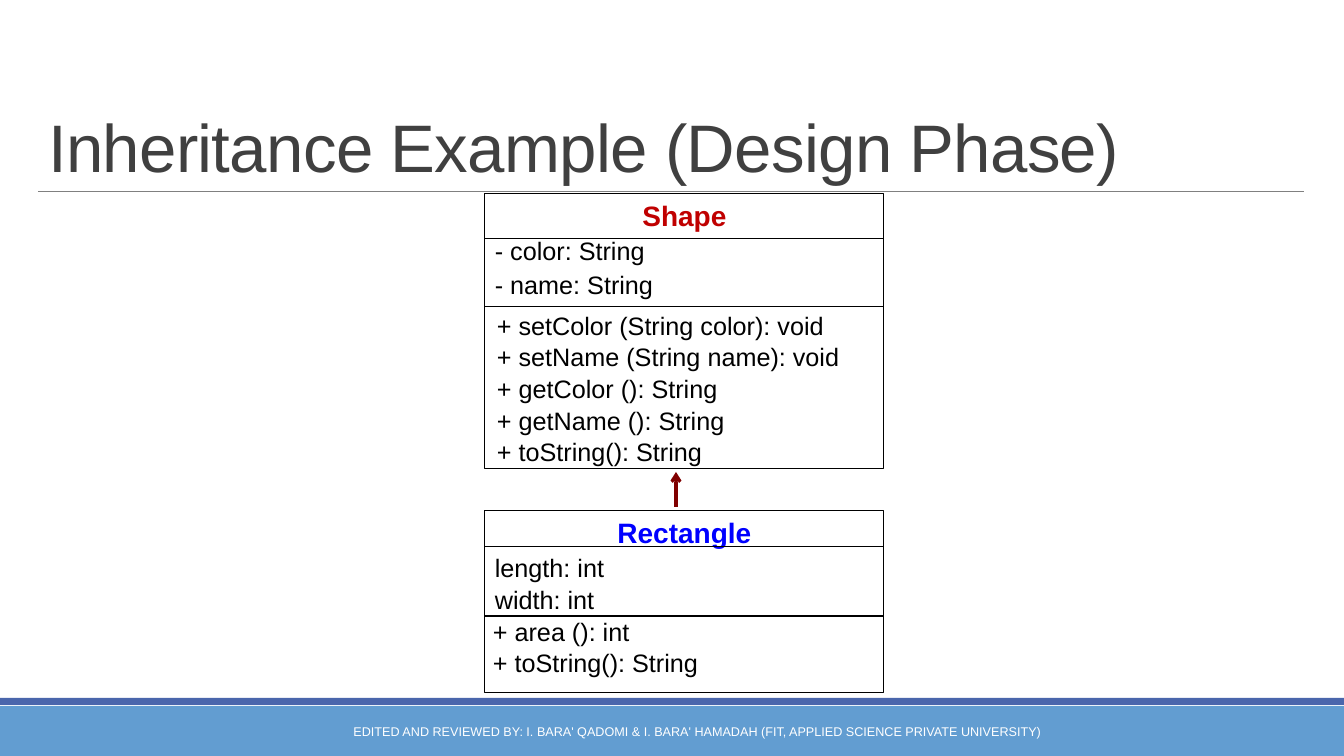
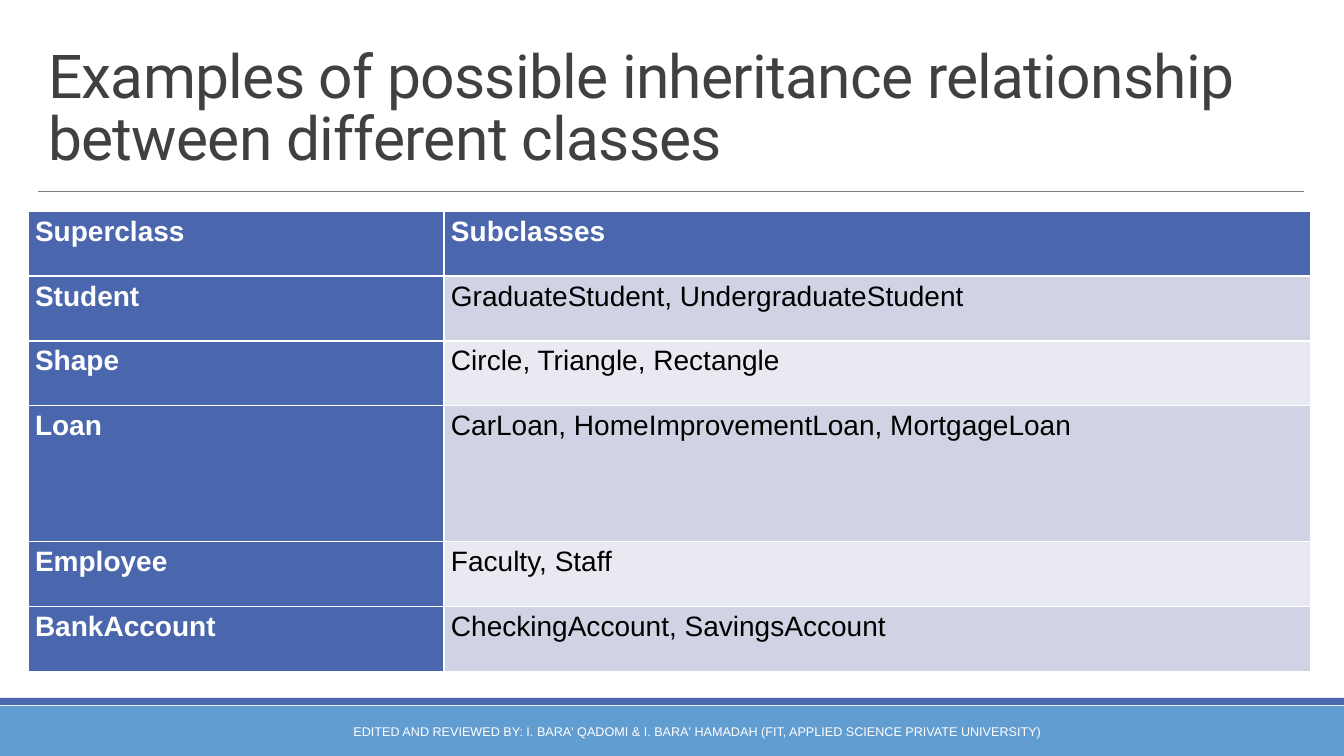
from lxml.etree import SubElement
from pptx import Presentation
from pptx.dml.color import RGBColor
from pptx.enum.shapes import MSO_CONNECTOR as CONNECTOR, MSO_SHAPE as SHAPE
from pptx.enum.text import MSO_ANCHOR as ANCHOR, MSO_AUTO_SIZE as AUTO_SIZE, PP_ALIGN as ALIGN
from pptx.oxml.ns import qn
from pptx.util import Pt

COLORS = {
    "white": "FFFFFF", "black": "000000", "title": "404040", "rule": "808080",
    "band": "629DD1", "accent": "4A66AC", "arrow": "800000",
    "superclass": "C00000", "subclass": "0000FF",
    "row_dark": "D0D3E3", "row_light": "E9EAF1",
}
SLIDE_W, SLIDE_H = 1344, 756
EMU_PER_PX = 914400 / 100.8

FOOTER = ("EDITED AND REVIEWED BY: I. BARA' QADOMI & I. BARA' HAMADAH "
          "(FIT, APPLIED SCIENCE PRIVATE UNIVERSITY)")

DESIGN_TITLE = "Inheritance Example (Design Phase)"
CLASSES = [
    {
        "name": "Shape", "color": "superclass", "box": (485, 194, 399, 275),
        "dividers": (239, 307), "attribute_gap": 3,
        "attributes": ["- color: String", "- name: String"],
        "methods_at": (487, 305),
        "methods": ["+ setColor (String color): void", "+ setName (String name): void",
                    "+ getColor (): String", "+ getName (): String", "+ toString(): String"],
    },
    {
        "name": "Rectangle", "color": "subclass", "box": (485, 511, 399, 182),
        "dividers": (547, 616), "attribute_gap": 1,
        "attributes": ["length: int", "width: int"],
        "methods_at": (483, 611),
        "methods": ["+ area (): int", "+ toString(): String"],
    },
]
INHERITS = (676, 507, 676, 472)

EXAMPLES_TITLE = "Examples of possible inheritance relationship between different classes"
EXAMPLES = [
    ("Superclass", "Subclasses"),
    ("Student", "GraduateStudent, UndergraduateStudent"),
    ("Shape", "Circle, Triangle, Rectangle"),
    ("Loan", "CarLoan, HomeImprovementLoan, MortgageLoan"),
    ("Employee", "Faculty, Staff"),
    ("BankAccount", "CheckingAccount, SavingsAccount"),
]
TABLE_LEFT, TABLE_TOP = 28, 211
COLUMN_WIDTHS = (416, 867)
ROW_HEIGHT, LOAN_HEIGHT = 65, 136


def px(*lengths):
    return [round(length * EMU_PER_PX) for length in lengths]


def rgb(name):
    return RGBColor.from_string(COLORS[name])


def write(frame, text, size=18, color="black", font="Arial", bold=False,
          align=ALIGN.LEFT, leading=None, after=0, tracking=None):
    """Add one paragraph, filling the empty first one if there is one."""
    first = frame.paragraphs[0]
    paragraph = frame.add_paragraph() if first.runs else first
    paragraph.alignment = align
    paragraph.space_before, paragraph.space_after = Pt(0), Pt(after)
    if leading:
        paragraph.line_spacing = leading
    run = paragraph.add_run()
    run.text = text
    run.font.name, run.font.size, run.font.bold = font, Pt(size), bold
    run.font.color.rgb = rgb(color)
    if tracking:
        run.font._element.set("spc", str(round(tracking * 100)))


def add_box(slide, box, fill, outline=None):
    rectangle = slide.shapes.add_shape(SHAPE.RECTANGLE, *px(*box))
    rectangle.shadow.inherit = False
    rectangle.fill.solid()
    rectangle.fill.fore_color.rgb = rgb(fill)
    if outline:
        rectangle.line.color.rgb = rgb(outline)
        rectangle.line.width = Pt(0.75)
    else:
        rectangle.line.fill.background()
    return rectangle


def add_text_area(slide, box, anchor=ANCHOR.TOP):
    frame = slide.shapes.add_textbox(*px(*box)).text_frame
    frame.word_wrap = True
    frame.vertical_anchor = anchor
    return frame


def add_line(slide, ends, color, width, arrow=False):
    line = slide.shapes.add_connector(CONNECTOR.STRAIGHT, *px(*ends))
    line.line.color.rgb = rgb(color)
    line.line.width = Pt(width)
    if arrow:
        SubElement(line.line._get_or_add_ln(), qn("a:tailEnd"), type="arrow")
    SubElement(line._element.spPr, qn("a:effectLst"))


def add_slide(deck, title, bottom=191, **title_format):
    """Add a slide with the shared bands, rule, footer and title style."""
    slide = deck.slides.add_slide(deck.slide_layouts[5])
    add_box(slide, (0, 706, SLIDE_W, 50), "band")
    add_box(slide, (0, 698, SLIDE_W, 7), "accent")
    add_line(slide, (38, 191, 1304, 191), "rule", 0.5)

    heading = slide.shapes.title
    top = 31
    heading.left, heading.top, heading.width, heading.height = px(38, top, 1266, bottom - top)
    frame = heading.text_frame
    frame.auto_size = AUTO_SIZE.NONE
    frame.word_wrap = True
    frame.vertical_anchor = ANCHOR.BOTTOM
    write(frame, title, color="title", leading=0.85, tracking=-0.5, **title_format)

    footer = add_text_area(slide, (313, 712, 768, 40), ANCHOR.MIDDLE)
    write(footer, FOOTER, size=9, color="white", align=ALIGN.CENTER)
    return slide


def add_class(slide, spec_of_class):
    """Draw a UML class: name, attributes and methods."""
    uml = spec_of_class
    left, top, width, height = uml["box"]
    frame = add_box(slide, uml["box"], "white", "black").text_frame
    frame.word_wrap = True
    frame.vertical_anchor = ANCHOR.TOP
    write(frame, uml["name"], size=20, color=uml["color"], bold=True,
          align=ALIGN.CENTER, after=2)
    for attribute in uml["attributes"]:
        write(frame, attribute, after=uml["attribute_gap"])
    for y in uml["dividers"]:
        add_line(slide, (left, y, left + width, y), "black", 0.75)
    x, y = uml["methods_at"]
    methods = add_text_area(slide, (x, y, left + width - x, top + height - y))
    for method in uml["methods"]:
        write(methods, method, after=1)


def add_examples(slide):
    heights = [LOAN_HEIGHT if row[0] == "Loan" else ROW_HEIGHT for row in EXAMPLES]
    table = slide.shapes.add_table(
        len(EXAMPLES), len(COLUMN_WIDTHS),
        *px(TABLE_LEFT, TABLE_TOP, sum(COLUMN_WIDTHS), sum(heights))).table
    table.first_col = True
    for column, width in zip(table.columns, px(*COLUMN_WIDTHS)):
        column.width = width
    for row, height in zip(table.rows, px(*heights)):
        row.height = height
    for r, names in enumerate(EXAMPLES):
        for c, name in enumerate(names):
            cell = table.cell(r, c)
            heading = r == 0 or c == 0
            fill = "accent" if heading else "row_dark" if r % 2 else "row_light"
            cell.fill.solid()
            cell.fill.fore_color.rgb = rgb(fill)
            cell.margin_left, cell.margin_right = px(7, 7)
            cell.margin_top = cell.margin_bottom = 0
            write(cell.text_frame, name, size=20, bold=heading, leading=1.15,
                  color="white" if heading else "black")


def main():
    deck = Presentation()
    deck.slide_width, deck.slide_height = px(SLIDE_W, SLIDE_H)

    design = add_slide(deck, DESIGN_TITLE, size=48)
    add_line(design, INHERITS, "arrow", 2.25, arrow=True)
    for uml_class in CLASSES:
        add_class(design, uml_class)

    examples = add_slide(deck, EXAMPLES_TITLE, bottom=178, size=43.2, font="Roboto")
    add_examples(examples)

    deck.save("out.pptx")


if __name__ == "__main__":
    main()
